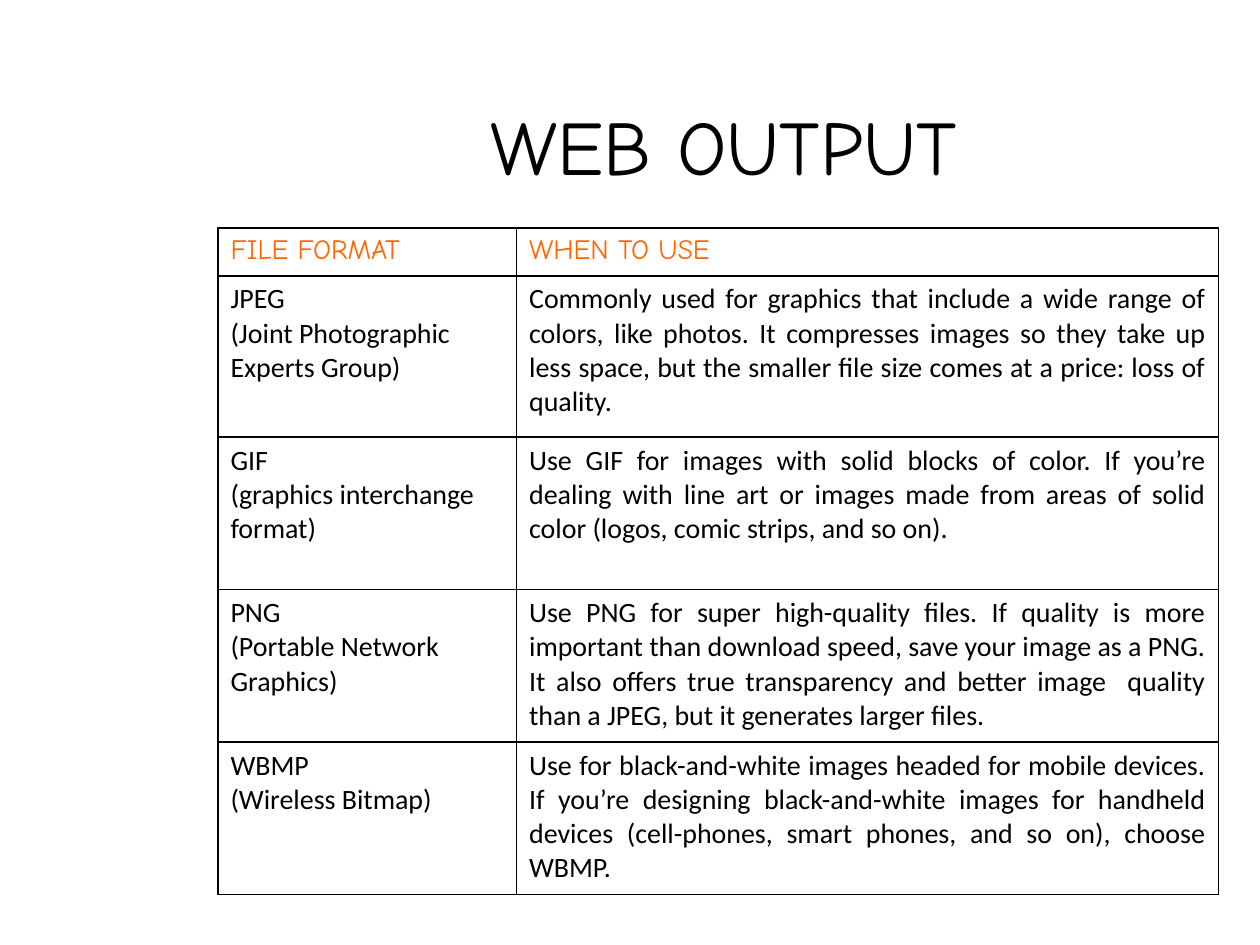
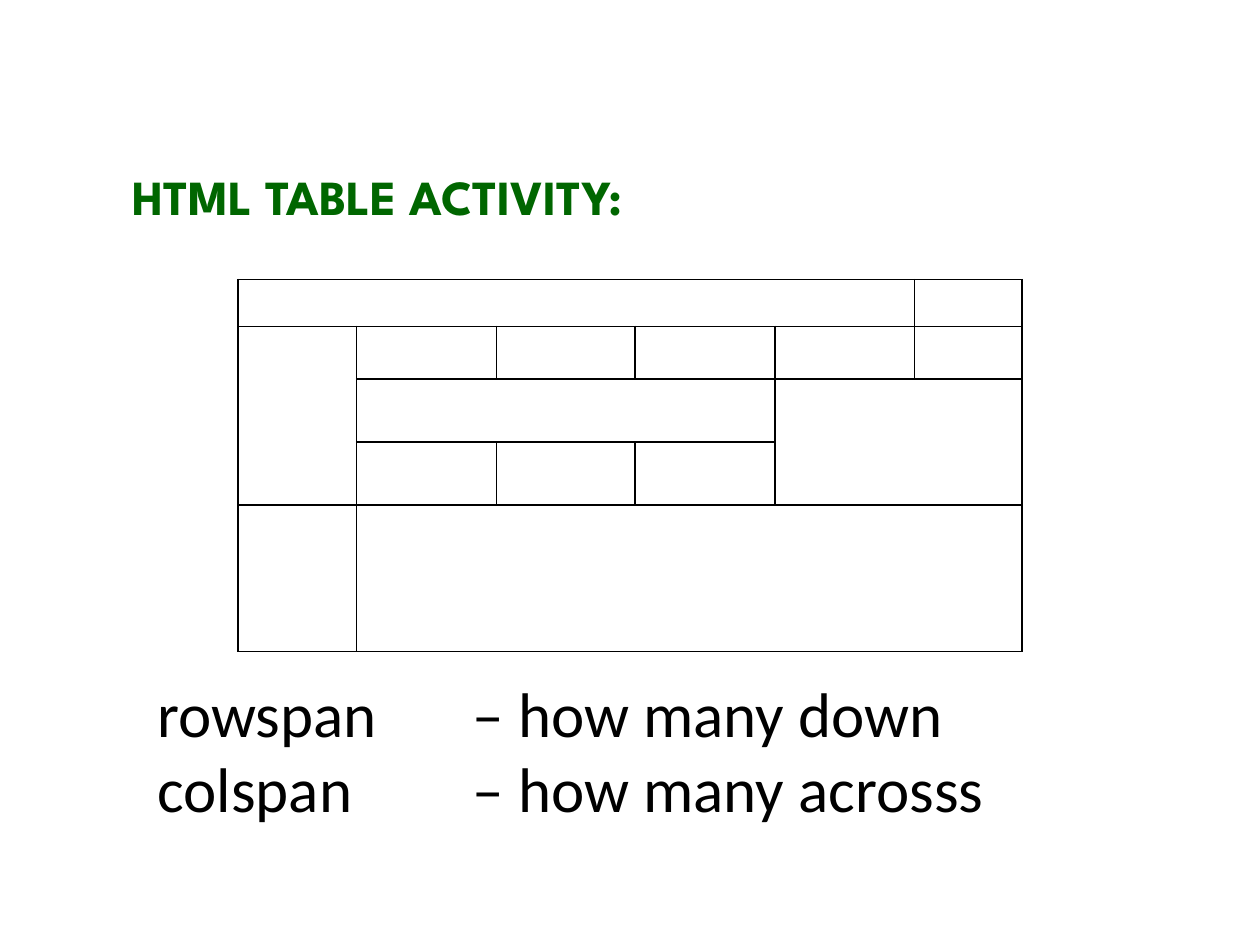
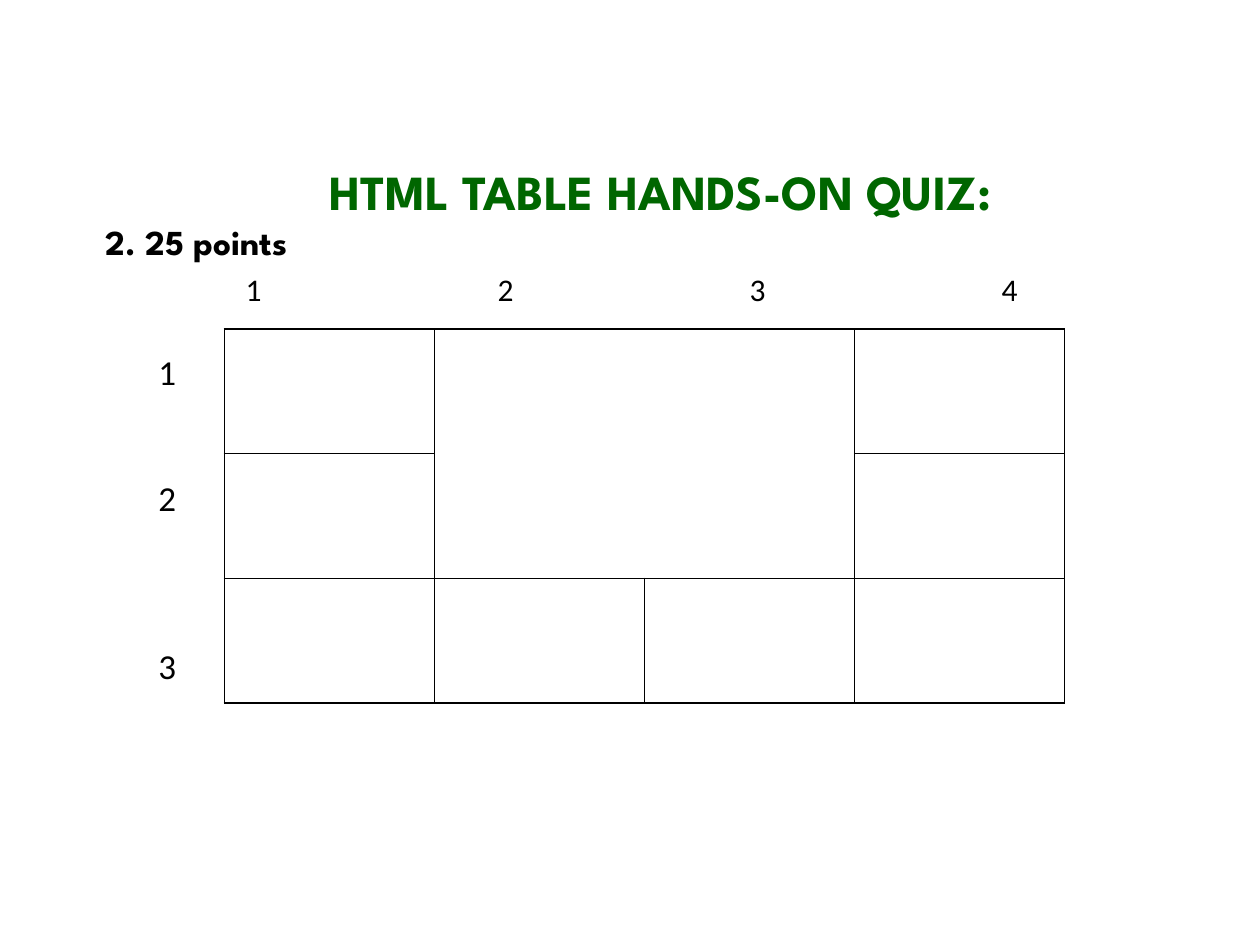
from itertools import product

from lxml.etree import SubElement
from pptx import Presentation
from pptx.dml.color import RGBColor
from pptx.enum.text import MSO_ANCHOR as Anchor, MSO_AUTO_SIZE as AutoSize, PP_ALIGN as Align
from pptx.oxml import parse_xml
from pptx.oxml.ns import nsdecls, qn
from pptx.util import Inches, Pt

BLACK, ORANGE, GREEN = "000000", "FF6600", "006600"
BODY, HAND, HEADING = "Calibri", "Comic Neue", "League Spartan"
TITLE_AND_CONTENT, TITLE_ONLY = 1, 5

FORMATS = [
    ("FILE FORMAT", "WHEN TO USE"),
    ("JPEG \v(Joint Photographic Experts Group)",
     "Commonly used for graphics that include a wide range of colors, like photos. "
     "It compresses images so they take up less space, but the smaller file size "
     "comes at a price: loss of quality."),
    ("GIF\v(graphics interchange format)",
     "Use GIF for images with solid blocks of color. If you’re dealing with line art "
     "or images made from areas of solid color (logos, comic strips, and so on)."),
    ("PNG\n(Portable Network Graphics)",
     "Use PNG for super high-quality files. If quality is more important than download "
     "speed, save your image as a PNG. It also offers true transparency and better "
     "image  quality than a JPEG, but it generates larger files."),
    ("WBMP\n(Wireless Bitmap)",
     "Use for black-and-white images headed for mobile devices. If you’re designing "
     "black-and-white images for handheld devices (cell-phones, smart phones, and so "
     "on), choose WBMP."),
]


def rgb(color):
    return RGBColor.from_string(color)


def style(paragraph, size, font=BODY, color=BLACK, bold=False, align=Align.LEFT):
    paragraph.alignment = align
    for run in paragraph.runs:
        run.font.size = Pt(size)
        run.font.name = font
        run.font.bold = bold
        run.font.color.rgb = rgb(color)


def place(shape, box, wrap=True):
    shape.left, shape.top, shape.width, shape.height = map(Inches, box)
    frame = shape.text_frame
    frame.auto_size = AutoSize.NONE
    frame.vertical_anchor = Anchor.TOP
    frame.word_wrap = wrap
    return frame


def set_tabs(paragraph, stops):
    tabs = SubElement(paragraph._p.get_or_add_pPr(), qn("a:tabLst"))
    for stop in stops:
        SubElement(tabs, qn("a:tab"), pos=str(Inches(stop)), algn="l")


def remove_bullet(paragraph):
    properties = paragraph._p.get_or_add_pPr()
    properties.set("marL", "0")
    properties.set("indent", "0")
    SubElement(properties, qn("a:buNone"))


def add_title(slide, box, text, size, font, color, **look):
    frame = place(slide.shapes.title, box)
    frame.text = text
    style(frame.paragraphs[0], size, font, color, **look)
    return frame


def add_labels(slide, box, text, size):
    frame = place(slide.shapes.add_textbox(0, 0, 0, 0), box, wrap=False)
    frame.text = text
    for paragraph in frame.paragraphs:
        style(paragraph, size)
    return frame.paragraphs


def outline(cell):
    cell.fill.background()
    for index, side in enumerate(("lnL", "lnR", "lnT", "lnB")):
        cell._tc.get_or_add_tcPr().insert(index, parse_xml(
            f'<a:{side} {nsdecls("a")} w="{Pt(1)}"><a:solidFill>'
            f'<a:srgbClr val="{BLACK}"/></a:solidFill></a:{side}>'))


def add_grid(slide, left, top, widths, heights, spans=()):
    grid = slide.shapes.add_table(
        len(heights), len(widths), Inches(left), Inches(top),
        Inches(sum(widths)), Inches(sum(heights))).table
    grid.first_row = grid.horz_banding = False
    for column, width in zip(grid.columns, widths):
        column.width = Inches(width)
    for row, height in zip(grid.rows, heights):
        row.height = Inches(height)
    for row, column in product(range(len(heights)), range(len(widths))):
        outline(grid.cell(row, column))
    for row, column, down, across in spans:
        grid.cell(row, column).merge(grid.cell(row + down - 1, column + across - 1))
    return grid


def tighten(grid):
    for cell in grid.iter_cells():
        cell.margin_top = cell.margin_bottom = 0


def build_web_output(slide):
    add_title(slide, (1.74, 0.73, 8.01, 1.17), "WEB OUTPUT", 44, HAND, BLACK,
              align=Align.CENTER)
    grid = add_grid(slide, 1.73, 1.81, (2.37, 5.57), (0.38, 1.28, 1.21, 1.21, 1.21))
    for row, texts in enumerate(FORMATS):
        font, color = (BODY, BLACK) if row else (HAND, ORANGE)
        for column, text in enumerate(texts):
            cell = grid.cell(row, column)
            cell.text = text
            align = Align.JUSTIFY if row and column else Align.LEFT
            for paragraph in cell.text_frame.paragraphs:
                style(paragraph, 16, font, color, align=align)


def build_activity(slide):
    add_title(slide, (0.95, 1.27, 9, 0.57), "HTML TABLE ACTIVITY:", 28, HEADING, GREEN,
              bold=True, align=Align.JUSTIFY)
    tighten(add_grid(
        slide, 1.89, 2.22, (0.94, 1.11, 1.1, 1.11, 1.11, 0.85),
        (0.37, 0.42, 0.5, 0.5, 1.16),
        [(0, 0, 1, 5), (1, 0, 3, 1), (2, 1, 1, 3), (2, 4, 2, 2), (4, 1, 1, 5)]))
    meanings = place(slide.placeholders[1], (1.15, 5.3, 8.8, 1.31))
    meanings.text = "rowspan \t\t– how many down\ncolspan \t\t– how many acrosss"
    for paragraph in meanings.paragraphs:
        style(paragraph, 36)
        paragraph.space_before = Pt(0)
        remove_bullet(paragraph)


def build_quiz(slide):
    heading = add_title(slide, (0.74, 1.23, 9, 0.91), "HTML TABLE HANDS-ON QUIZ:", 28,
                        HEADING, GREEN, bold=True, align=Align.CENTER)
    points = heading.add_paragraph()
    points.text = "2. 25 points"
    style(points, 20, HEADING, bold=True, align=Align.JUSTIFY)
    add_grid(slide, 1.78, 2.61, [6.67 / 4] * 4, [0.99] * 3, [(0, 1, 2, 2)])
    column_numbers, = add_labels(slide, (1.85, 2.09, 6.39, 0.4), "1\t2\t3\t4", 18)
    set_tabs(column_numbers, [2, 4, 6])
    row_numbers = add_labels(slide, (1.16, 2.73, 0.34, 2.79), "1\n2\n3", 20)
    for number, gap in zip(row_numbers, (0, 48, 72)):
        number.space_before = Pt(gap)


def main():
    deck = Presentation()
    deck.slide_width, deck.slide_height = Inches(10), Inches(7.5)
    for layout, build in ((TITLE_ONLY, build_web_output),
                          (TITLE_AND_CONTENT, build_activity),
                          (TITLE_ONLY, build_quiz)):
        build(deck.slides.add_slide(deck.slide_layouts[layout]))
    deck.save("out.pptx")


if __name__ == "__main__":
    main()
